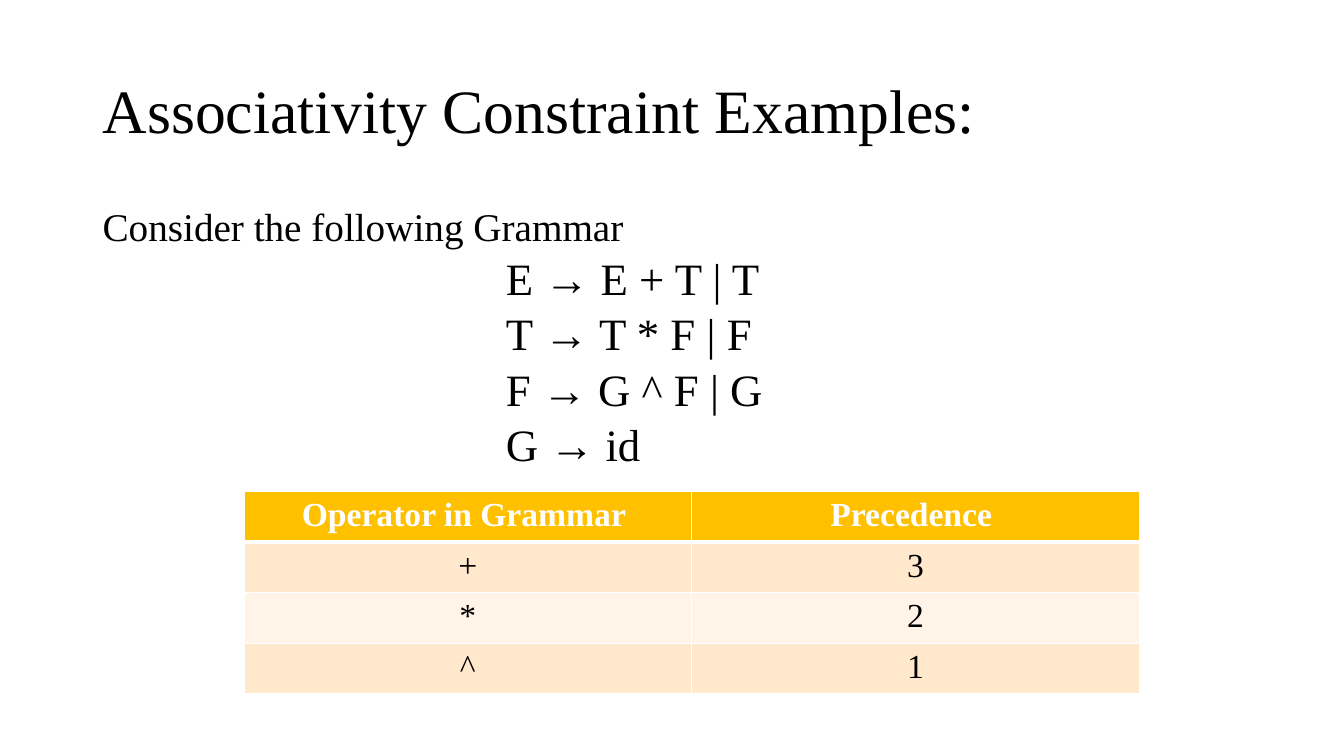
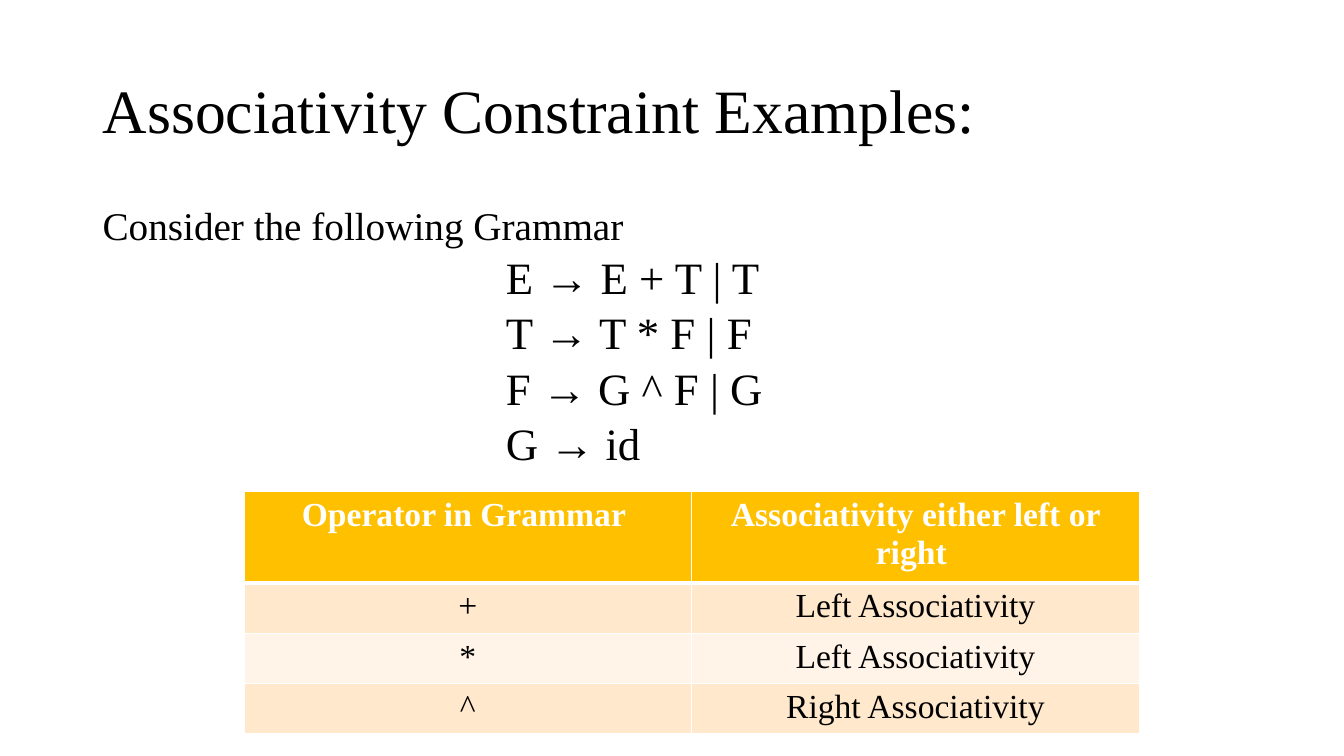
from dataclasses import dataclass

from lxml import etree
from pptx import Presentation
from pptx.dml.color import RGBColor
from pptx.enum.text import MSO_ANCHOR, PP_ALIGN
from pptx.oxml.ns import qn
from pptx.util import Inches, Pt

CENTER = PP_ALIGN.CENTER
LEFT = PP_ALIGN.LEFT
TOP = MSO_ANCHOR.TOP
MIDDLE = MSO_ANCHOR.MIDDLE


@dataclass(frozen=True)
class Theme:
    font: str = "Times New Roman"
    text: str = "000000"
    white: str = "FFFFFF"
    header: str = "FFC000"
    bands: tuple[str, str] = ("FFE8CC", "FFF4E7")
    title_size: int = 44
    intro_size: int = 28
    rule_size: int = 32
    cell_size: int = 24
    thin: int = 1
    thick: int = 3


@dataclass(frozen=True)
class GrammarSlide:
    body_top: float
    heading: str
    values: tuple[str, str, str]


THEME = Theme()
TITLE = "Associativity Constraint Examples:"
INTRO = "Consider the following Grammar"
RULES = ("E → E + T | T", "T → T * F | F", "F → G ^ F | G", "G → id")
OPERATOR_HEADING = "Operator in Grammar "
OPERATORS = ("+", "*", "^")
SLIDES = (
    GrammarSlide(2.01, "Precedence ", ("3", "2", "1")),
    GrammarSlide(
        2.0,
        "Associativity either left or right ",
        ("Left Associativity", "Left Associativity", "Right Associativity"),
    ),
)


def write(p, text: str, *, size: int, color: str = THEME.text, bold: bool = False,
          align=LEFT, spacing: float = 1.0, before: int = 0, indent: float = 0) -> None:
    p.alignment = align
    p.line_spacing = spacing
    p.space_before = Pt(before)
    if indent:
        pPr = p._p.get_or_add_pPr()
        pPr.set("marL", str(Inches(indent)))
        pPr.set("indent", "0")
    r = p.add_run()
    r.text = text
    r.font.name = THEME.font
    r.font.size = Pt(size)
    r.font.bold = bold
    r.font.color.rgb = RGBColor.from_string(color)


def add_box(s, top: float, height: float, anchor=TOP):
    tf = s.shapes.add_textbox(Inches(0.92), Inches(top), Inches(11.5), Inches(height)).text_frame
    tf.word_wrap = True
    tf.vertical_anchor = anchor
    return tf


def add_border(cell, side: str, width: int) -> None:
    tcPr = cell._tc.get_or_add_tcPr()
    ln = etree.SubElement(tcPr, qn(f"a:ln{side}"), w=str(Pt(width)))
    fill = etree.SubElement(ln, qn("a:solidFill"))
    etree.SubElement(fill, qn("a:srgbClr"), val=THEME.white)


def style_cell(cell, row: int) -> None:
    top = THEME.thick if row == 1 else THEME.thin
    bottom = THEME.thick if row == 0 else THEME.thin
    for side, width in (("L", THEME.thin), ("R", THEME.thin), ("T", top), ("B", bottom)):
        add_border(cell, side, width)
    color = THEME.bands[(row - 1) % 2] if row else THEME.header
    cell.fill.solid()
    cell.fill.fore_color.rgb = RGBColor.from_string(color)


def add_operator_table(s, content: GrammarSlide) -> None:
    rows = [(OPERATOR_HEADING, content.heading), *zip(OPERATORS, content.values)]
    row_height = 0.41
    table = s.shapes.add_table(
        len(rows), 2, Inches(2.42), Inches(4.88), Inches(8.88), Inches(row_height * len(rows))
    ).table
    for i, texts in enumerate(rows):
        table.rows[i].height = Inches(row_height)
        for j, text in enumerate(texts):
            cell = table.cell(i, j)
            style_cell(cell, i)
            write(cell.text_frame.paragraphs[0], text, size=THEME.cell_size, align=CENTER,
                  color=THEME.text if i else THEME.white, bold=i == 0)


def add_grammar_slide(prs, content: GrammarSlide) -> None:
    s = prs.slides.add_slide(prs.slide_layouts[6])
    tf = add_box(s, 0.4, 1.45, MIDDLE)
    write(tf.paragraphs[0], TITLE, size=THEME.title_size, spacing=0.9)
    tf = add_box(s, content.body_top, 4.76)
    write(tf.paragraphs[0], INTRO, size=THEME.intro_size, spacing=0.9)
    for rule in RULES:
        write(tf.add_paragraph(), rule, size=THEME.rule_size, spacing=0.9, before=5, indent=4)
    add_operator_table(s, content)


def main() -> None:
    prs = Presentation()
    prs.slide_width = Inches(13.33)
    prs.slide_height = Inches(7.5)
    for content in SLIDES:
        add_grammar_slide(prs, content)
    prs.save("out.pptx")


if __name__ == "__main__":
    main()
